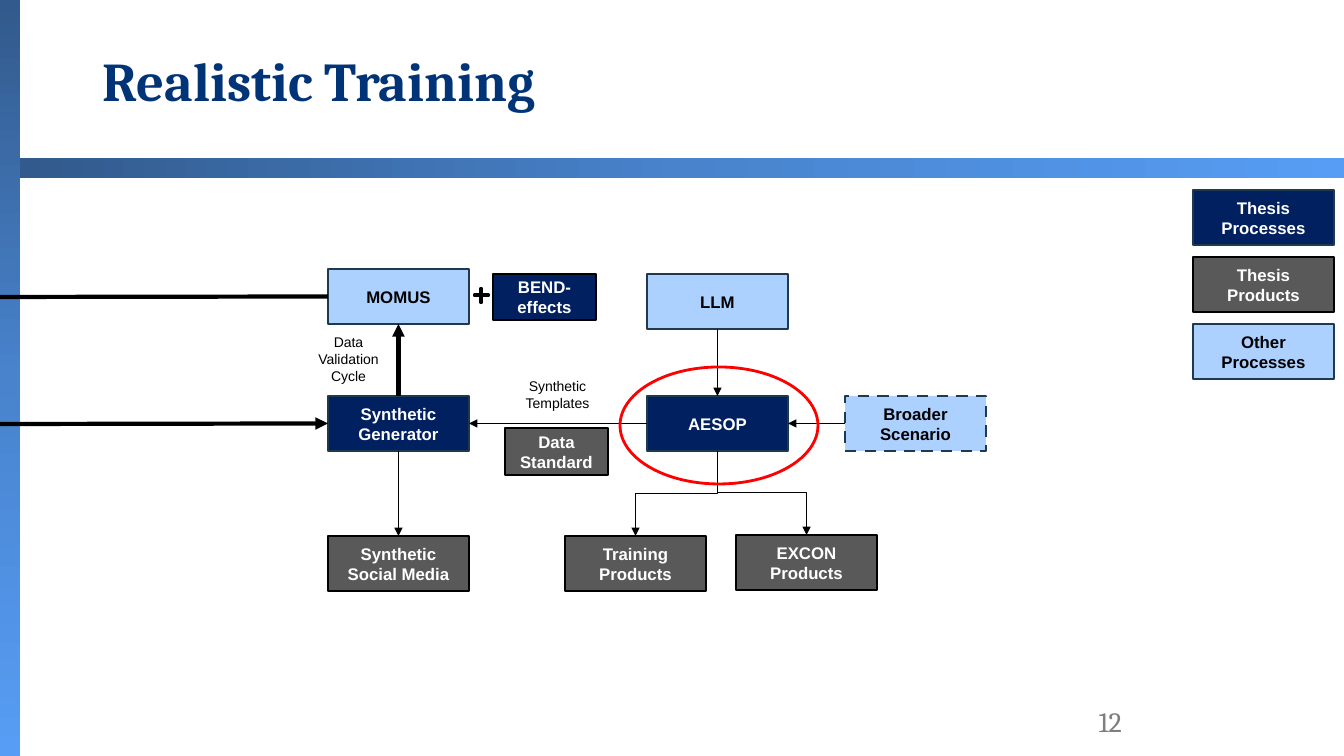
import copy
from dataclasses import dataclass

import pptx
import pptx.dml.color
import pptx.enum.dml
import pptx.enum.shapes
import pptx.enum.text
import pptx.oxml.ns
import pptx.util
from lxml import etree

SHAPE = pptx.enum.shapes.MSO_SHAPE
CONNECTOR = pptx.enum.shapes.MSO_CONNECTOR
ALIGN = pptx.enum.text.PP_ALIGN
ANCHOR = pptx.enum.text.MSO_ANCHOR
TOP, LEFT, BOTTOM, RIGHT = range(4)
EMU_PER_PX = 914400 / 100.8


@dataclass(frozen=True)
class Theme:
    navy: str = "002060"
    sky: str = "ADD1FF"
    gray: str = "595959"
    edge: str = "1F394F"
    black: str = "000000"
    white: str = "FFFFFF"
    red: str = "FF0000"
    title: str = "003477"
    number: str = "7F7F7F"
    band: tuple = ("325A8C", "4883CC", "579DF5")
    heading_font: str = "Cambria"
    body_font: str = "Arial"
    title_size: int = 39
    number_size: int = 20
    box_size: int = 12
    label_size: int = 10
    outline: float = 2
    thin: float = 0.75
    thick: float = 3


def px(*lengths):
    return [pptx.util.Emu(round(length * EMU_PER_PX)) for length in lengths]


def rgb(color):
    return pptx.dml.color.RGBColor.from_string(color)


class Diagram:
    def __init__(self, slide, theme):
        self.shapes = slide.shapes
        self.theme = theme

    def shape(self, kind, at, fill=None, line=None):
        item = self.shapes.add_shape(kind, *px(*at))
        item.shadow.inherit = False
        if fill:
            item.fill.solid()
            item.fill.fore_color.rgb = rgb(fill)
        else:
            item.fill.background()
        if line:
            item.line.color.rgb = rgb(line)
            item.line.width = pptx.util.Pt(self.theme.outline)
        else:
            item.line.fill.background()
        return item

    def band(self, at, angle):
        strip = self.shape(SHAPE.RECTANGLE, at)
        strip.fill.gradient()
        strip.fill.gradient_angle = angle
        stop_list = strip._element.spPr.find(".//" + pptx.oxml.ns.qn("a:gsLst"))
        stop_list.insert(1, copy.deepcopy(stop_list[0]))
        for i, (stop, color) in enumerate(zip(strip.fill.gradient_stops, self.theme.band)):
            stop.color.rgb = rgb(color)
            stop.position = i / 2

    def set_text(self, holder, lines, size, color, font, bold=False,
                 align=ALIGN.CENTER, anchor=ANCHOR.MIDDLE):
        frame = holder.text_frame
        frame.word_wrap = True
        frame.vertical_anchor = anchor
        frame.text = lines
        for paragraph in frame.paragraphs:
            paragraph.alignment = align
            paragraph.font.size = pptx.util.Pt(size)
            paragraph.font.name = font
            paragraph.font.bold = bold
            paragraph.font.color.rgb = rgb(color)
        return frame

    def text(self, at, lines, size, color, font, **style):
        return self.set_text(self.shapes.add_textbox(*px(*at)), lines, size, color, font, **style)

    def label(self, at, lines):
        self.text(at, lines, self.theme.label_size, self.theme.black,
                  self.theme.body_font, anchor=ANCHOR.TOP)

    def box(self, left, top, lines, fill, edge=None, size=(141, 55), dashed=False):
        theme = self.theme
        default_edge = theme.black if fill == theme.gray else theme.edge
        item = self.shape(SHAPE.RECTANGLE, (left, top, *size), fill, edge or default_edge)
        if dashed:
            item.line.dash_style = pptx.enum.dml.MSO_LINE.DASH
        color = theme.black if fill == theme.sky else theme.white
        self.set_text(item, lines, theme.box_size, color, theme.body_font, bold=True)
        return item

    def line(self, start, end, width, arrow=True, kind=CONNECTOR.STRAIGHT):
        link = self.shapes.add_connector(kind, *px(*start, *end))
        link.line.color.rgb = rgb(self.theme.black)
        link.line.width = pptx.util.Pt(width)
        properties = link._element.spPr
        if arrow:
            outline = properties.find(pptx.oxml.ns.qn("a:ln"))
            etree.SubElement(outline, pptx.oxml.ns.qn("a:tailEnd"), type="triangle")
        etree.SubElement(properties, pptx.oxml.ns.qn("a:effectLst"))
        return link

    def join(self, source, source_side, target, target_side, width=None, kind=CONNECTOR.STRAIGHT):
        link = self.line((0, 0), (0, 0), width or self.theme.thin, kind=kind)
        link.begin_connect(source, source_side)
        link.end_connect(target, target_side)
        return link

    def branch(self, source, target):
        """Elbow leaving the source's bottom and entering the target's top."""
        link = self.join(source, BOTTOM, target, TOP, kind=CONNECTOR.ELBOW)
        x1, y1, x2, y2 = link.begin_x, link.begin_y, link.end_x, link.end_y
        across, down = abs(x2 - x1), y2 - y1
        frame = link._element.spPr.find(pptx.oxml.ns.qn("a:xfrm"))
        frame.attrib.clear()
        # A quarter turn makes the elbow run vertically first.
        if x2 > x1:
            frame.set("rot", "16200000")
            frame.set("flipH", "1")
        else:
            frame.set("rot", "5400000")
        link.left = pptx.util.Emu((x1 + x2 - down) // 2)
        link.top = pptx.util.Emu((y1 + y2 - across) // 2)
        link.width, link.height = down, across


def main():
    theme = Theme()
    deck = pptx.Presentation()
    deck.slide_width, deck.slide_height = px(1344, 756)
    diagram = Diagram(deck.slides.add_slide(deck.slide_layouts[6]), theme)

    diagram.band((0, 0, 20, 756), 270)
    diagram.band((20, 158, 1324, 20), 0)
    title = diagram.text((93, 16, 1159, 135), "Realistic Training", theme.title_size,
                         theme.title, theme.heading_font, bold=True, align=ALIGN.LEFT)
    title.paragraphs[0].line_spacing = 0.9
    diagram.text((950, 701, 182, 40), "12", theme.number_size, theme.number,
                 theme.heading_font, align=ALIGN.RIGHT)

    legend = (("Thesis Processes", theme.navy), ("Thesis Products", theme.gray),
              ("Other Processes", theme.sky))
    for i, (meaning, fill) in enumerate(legend):
        diagram.box(1193, 190 + 67 * i, meaning, fill)

    momus = diagram.box(328, 269, "MOMUS", theme.sky)
    llm = diagram.box(647, 274, "LLM", theme.sky)
    generator = diagram.box(328, 396, "Synthetic Generator", theme.navy)
    aesop = diagram.box(647, 396, "AESOP", theme.navy)
    scenario = diagram.box(845, 396, "Broader Scenario", theme.sky, dashed=True)
    social_media = diagram.box(328, 536, "Synthetic Social Media", theme.gray)
    training = diagram.box(565, 536, "Training Products", theme.gray)
    excon = diagram.box(736, 535, "EXCON Products", theme.gray)

    diagram.join(generator, BOTTOM, social_media, TOP)
    diagram.join(generator, TOP, momus, BOTTOM, theme.thick)
    diagram.join(aesop, LEFT, generator, RIGHT)
    diagram.join(llm, BOTTOM, aesop, TOP)
    diagram.join(scenario, LEFT, aesop, RIGHT)
    diagram.branch(aesop, training)
    diagram.branch(aesop, excon)
    feedback = diagram.line((0, 297), (328, 297), theme.thick, arrow=False)
    feedback.end_connect(momus, LEFT)
    intake = diagram.line((0, 424), (328, 424), theme.thick)
    intake.end_connect(generator, LEFT)

    diagram.label((495, 373, 125, 44), "Synthetic Templates")
    diagram.label((298, 329, 101, 61), "Data Validation\nCycle")
    diagram.box(505, 428, "Data\nStandard", theme.gray, size=(103, 47))
    diagram.box(493, 274, "BEND-effects", theme.navy, theme.black, size=(103, 46))
    plus = diagram.shape(SHAPE.CROSS, (474, 288, 15, 15), theme.black, theme.black)
    plus.adjustments[0] = 0.46
    diagram.shape(SHAPE.OVAL, (620, 367, 198, 117), line=theme.red)

    deck.save("out.pptx")


if __name__ == "__main__":
    main()
